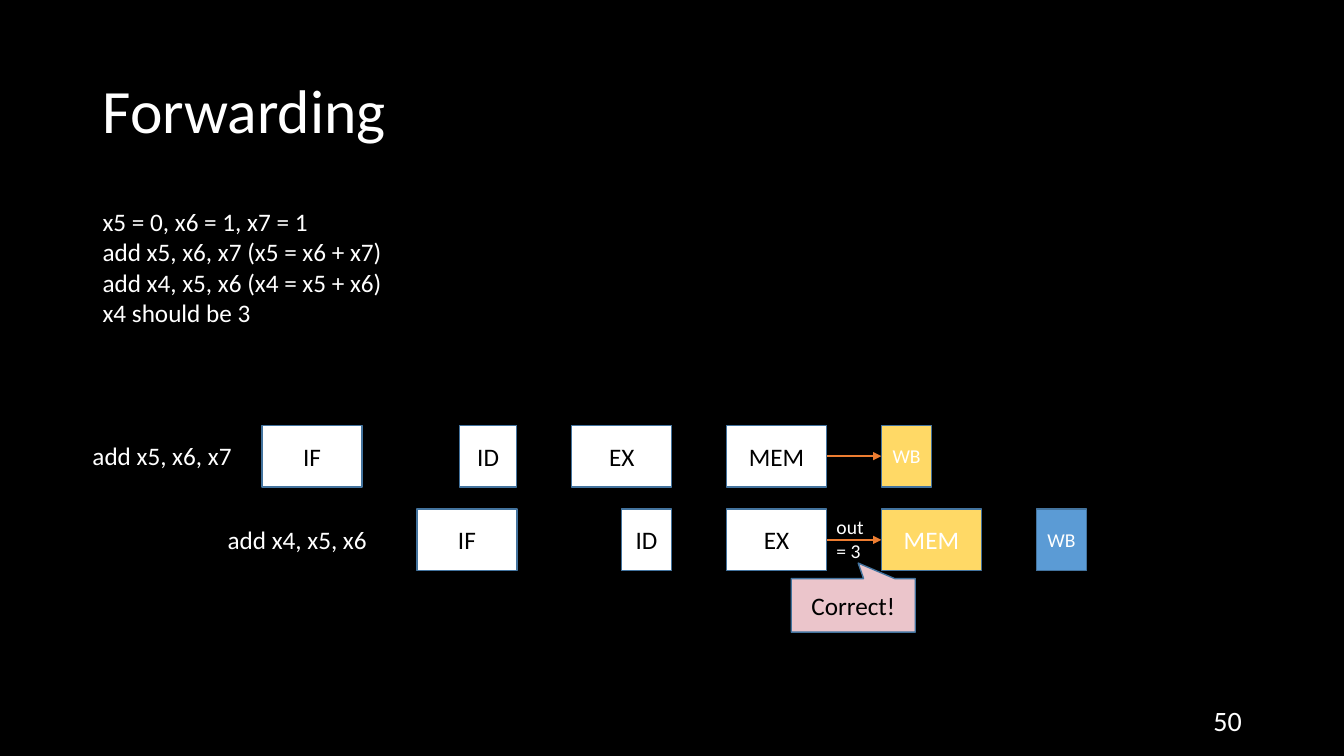
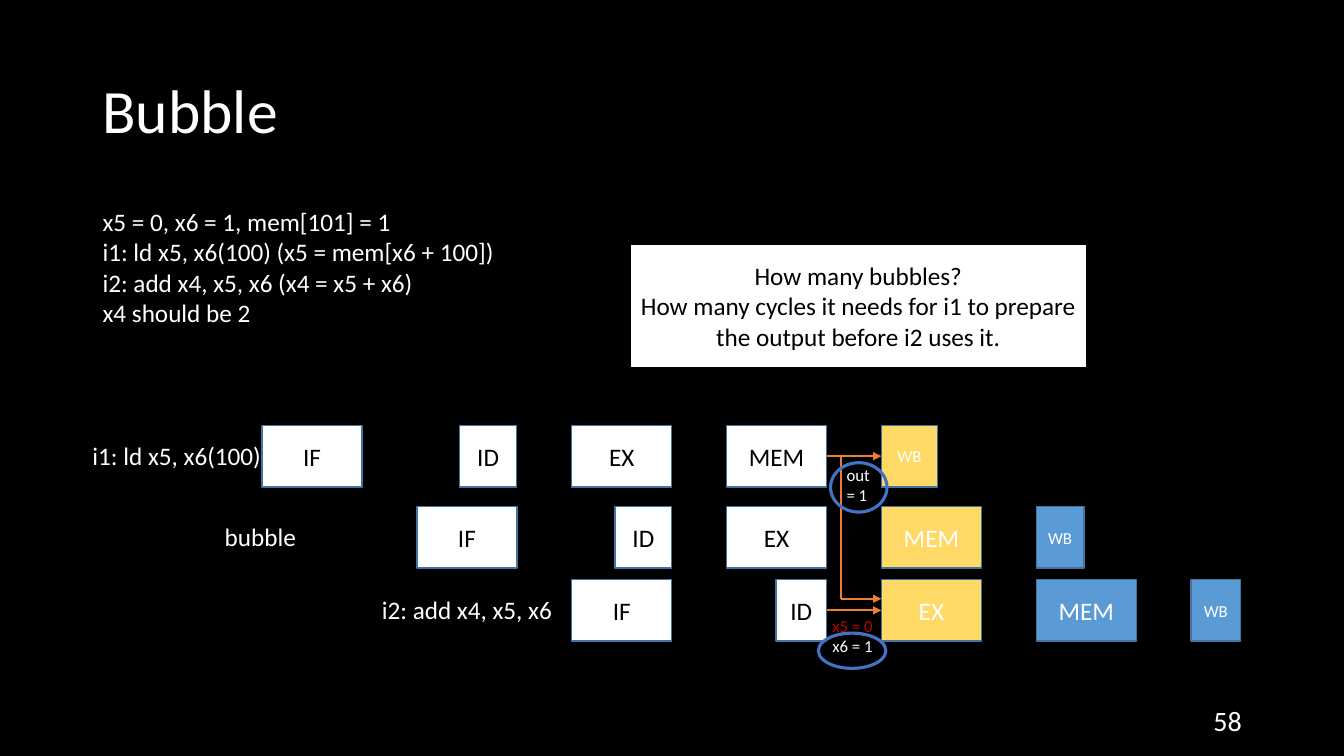
from lxml.etree import SubElement
from pptx import Presentation
from pptx.dml.color import RGBColor
from pptx.enum.shapes import MSO_CONNECTOR, MSO_SHAPE
from pptx.enum.text import MSO_ANCHOR, PP_ALIGN
from pptx.oxml.ns import qn
from pptx.util import Pt

BLACK = RGBColor(0x00, 0x00, 0x00)
WHITE = RGBColor(0xFF, 0xFF, 0xFF)
YELLOW = RGBColor(0xFF, 0xD9, 0x66)
BLUE = RGBColor(0x5B, 0x9B, 0xD5)
PINK = RGBColor(0xEB, 0xC5, 0xCB)
RED = RGBColor(0xC0, 0x00, 0x00)
ORANGE = RGBColor(0xED, 0x7D, 0x31)
OUTLINE = RGBColor(0x43, 0x73, 0x9E)
RING = RGBColor(0x44, 0x72, 0xC4)

FONT = "Calibri"
STAGES = ("IF", "ID", "EX", "MEM", "WB")
FIRST_CYCLE_LEFT = 187.2
CYCLE_PITCH = 110.6
STAGE_WIDTH = 71.4
STAGE_HEIGHT = 44
CURRENT_CYCLE = 4


class PipelineDeck:
    """Hold the shared style and the slide being drawn."""

    def __init__(self):
        """Start an empty widescreen presentation."""
        self.presentation = Presentation()
        self.presentation.slide_width = Pt(960)
        self.presentation.slide_height = Pt(540)
        self.slide = None

    def add_slide(self, title, number, code):
        """Add a black slide with its title, number and code lines."""
        layout = self.presentation.slide_layouts[6]
        self.slide = self.presentation.slides.add_slide(layout)
        fill = self.slide.background.fill
        fill.solid()
        fill.fore_color.rgb = BLACK
        heading = self.text(title, 66.2, 28.8, 828, 104.4, size=44, anchor=MSO_ANCHOR.MIDDLE)
        heading.text_frame.paragraphs[0].line_spacing = 0.9
        self.text(number, 678.2, 500.4, 216, 28.8, size=20,
                  anchor=MSO_ANCHOR.MIDDLE, align=PP_ALIGN.RIGHT)
        self.text(code, 66.2, 144, 632, 94.4)

    def set_text(self, shape, text, size, color, align, anchor):
        """Put styled text into a shape."""
        frame = shape.text_frame
        frame.word_wrap = True
        frame.vertical_anchor = anchor
        frame.text = text
        for paragraph in frame.paragraphs:
            paragraph.alignment = align
            for run in paragraph.runs:
                run.font.name = FONT
                run.font.size = Pt(size)
                run.font.color.rgb = color

    def text(self, text, left, top, width, height, size=18,
             anchor=MSO_ANCHOR.TOP, align=PP_ALIGN.LEFT):
        """Add a white text box."""
        box = self.slide.shapes.add_textbox(Pt(left), Pt(top), Pt(width), Pt(height))
        self.set_text(box, text, size, WHITE, align, anchor)
        return box

    def shape(self, kind, left, top, width, height, fill=None, line=OUTLINE, weight=1):
        """Add an outlined shape, hollow unless a fill is given."""
        shape = self.slide.shapes.add_shape(kind, Pt(left), Pt(top), Pt(width), Pt(height))
        shape.shadow.inherit = False
        if fill is None:
            shape.fill.background()
        else:
            shape.fill.solid()
            shape.fill.fore_color.rgb = fill
        shape.line.color.rgb = line
        shape.line.width = Pt(weight)
        return shape

    def box(self, text, left, top, width, height, fill=WHITE, color=BLACK,
            size=18, line=OUTLINE, kind=MSO_SHAPE.RECTANGLE):
        """Add a filled shape with centred text."""
        shape = self.shape(kind, left, top, width, height, fill, line)
        self.set_text(shape, text, size, color, PP_ALIGN.CENTER, MSO_ANCHOR.MIDDLE)
        return shape

    def ring(self, left, top, width, height):
        """Circle a value."""
        self.shape(MSO_SHAPE.OVAL, left, top, width, height, line=RING, weight=2.25)

    def line(self, x1, y1, x2, y2, arrow=True):
        """Add an orange line, with an arrowhead by default."""
        connector = self.slide.shapes.add_connector(
            MSO_CONNECTOR.STRAIGHT, Pt(x1), Pt(y1), Pt(x2), Pt(y2))
        connector.line.color.rgb = ORANGE
        connector.line.width = Pt(1.5)
        properties = connector.element.spPr
        if arrow:
            SubElement(properties.find(qn("a:ln")), qn("a:tailEnd"), type="triangle")
        SubElement(properties, qn("a:effectLst"))
        return connector

    def link(self, source, target):
        """Join the right side of one stage to the left side of another."""
        connector = self.line(0, 0, 0, 0)
        connector.begin_connect(source, 3)
        connector.end_connect(target, 1)

    def pipeline(self, label, label_left, top, start, id_width, wb_width, wb_size):
        """Draw one instruction's stages, coloured by cycle, and return them by name."""
        self.text(label, label_left, top + 7.2, 144, 29)
        widths = {"ID": id_width, "WB": wb_width}
        stages = {}
        for cycle, name in enumerate(STAGES, start):
            width = widths.get(name, STAGE_WIDTH)
            left = FIRST_CYCLE_LEFT + cycle * CYCLE_PITCH
            if name == "ID":
                left += STAGE_WIDTH - width
            fill, color = WHITE, BLACK
            if cycle >= CURRENT_CYCLE:
                fill, color = YELLOW if cycle == CURRENT_CYCLE else BLUE, WHITE
            size = wb_size if name == "WB" else 18
            stages[name] = self.box(name, left, top, width, STAGE_HEIGHT, fill, color, size)
        return stages


def forwarding(deck):
    """Draw the forwarding slide."""
    deck.add_slide("Forwarding", "50",
                   "x5 = 0, x6 = 1, x7 = 1\nadd x5, x6, x7 (x5 = x6 + x7)\n"
                   "add x4, x5, x6 (x4 = x5 + x6)\nx4 should be 3")
    first = deck.pipeline("add x5, x6, x7", 59, 303.8, 0, 41, 36, 14)
    second = deck.pipeline("add x4, x5, x6", 155.5, 363.6, 1, 36, 36, 14)
    deck.link(first["MEM"], first["WB"])
    deck.link(second["EX"], second["MEM"])
    deck.text("out\n= 3", 590.4, 364.3, 63.4, 41, size=14)
    callout = deck.box("Correct!", 565.2, 413.3, 88.6, 38.2, fill=PINK,
                       kind=MSO_SHAPE.RECTANGULAR_CALLOUT)
    callout.adjustments[0] = 0.04
    callout.adjustments[1] = -0.79


def bubble(deck):
    """Draw the bubble slide."""
    deck.add_slide("Bubble", "58",
                   "x5 = 0, x6 = 1, mem[101] = 1\ni1: ld x5, x6(100) (x5 = mem[x6 + 100])\n"
                   "i2: add x4, x5, x6 (x4 = x5 + x6)\nx4 should be 2")
    operands = deck.text("x5 = 0\nx6 = 1", 587.5, 436.3, 91.4, 36, size=12)
    operands.text_frame.paragraphs[0].runs[0].font.color.rgb = RED
    load = deck.pipeline("i1: ld x5, x6(100)", 59, 303.8, 0, 41, 40, 12)
    deck.pipeline("bubble", 153.4, 361.8, 1, 40.5, 34, 12)
    add = deck.pipeline("i2: add x4, x5, x6", 265.7, 414, 2, 36, 35.4, 12)
    deck.box("How many bubbles?\nHow many cycles it needs for i1 to prepare "
             "the output before i2 uses it.", 450, 174.2, 326.2, 88.6, line=BLACK)
    deck.link(load["MEM"], load["WB"])
    deck.link(add["ID"], add["EX"])
    deck.line(600.5, 325.8, 600.5, 427.7, arrow=False)
    deck.line(600.5, 427.7, 629.6, 427.7)
    deck.text("out\n= 1", 597.6, 328.3, 91.4, 36, size=12)
    deck.ring(584.6, 452.2, 48.2, 25.2)
    deck.ring(593.3, 330.5, 40.3, 35.3)


def main():
    """Build and save the presentation."""
    deck = PipelineDeck()
    forwarding(deck)
    bubble(deck)
    deck.presentation.save("out.pptx")


if __name__ == "__main__":
    main()
